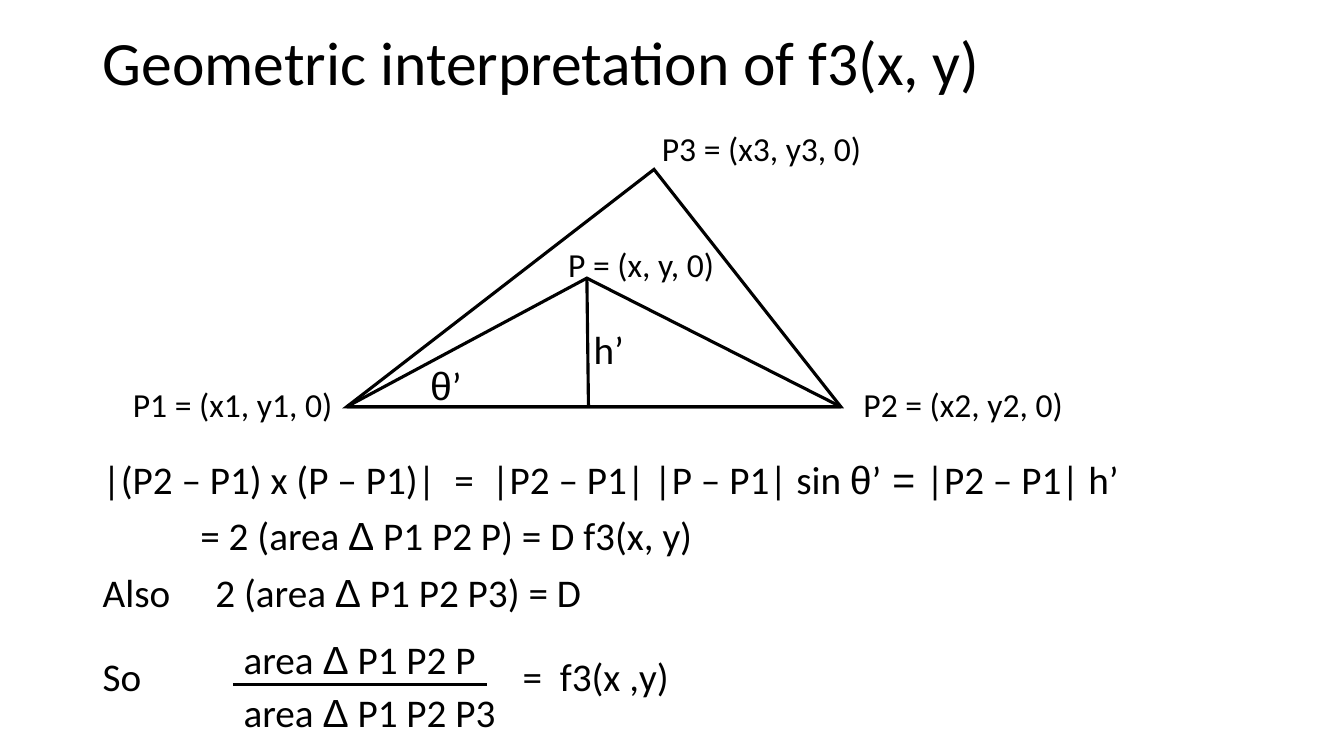
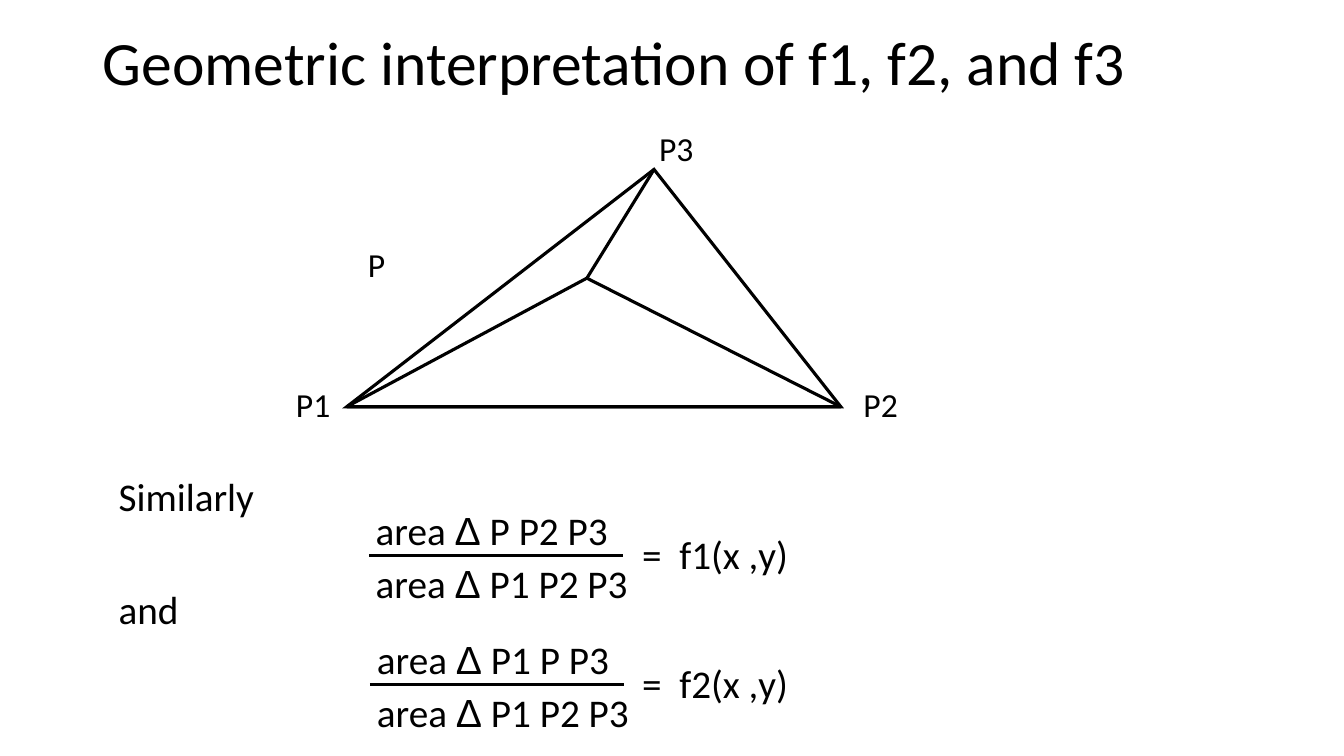
"""Build two slides on the geometric meaning of the plane functions f1, f2 and f3."""
from dataclasses import dataclass
from typing import NamedTuple

from lxml import etree
from pptx import Presentation
from pptx import util as u
from pptx.dml import color
from pptx.enum import shapes, text
from pptx.oxml import ns
from pptx.util import Cm

BLACK = "000000"
LATIN, GREEK = "Calibri", "Arial"
LABEL, MATH, HEADING = 24, 28, 44
LINE_WIDTH = 2.25


class Span(NamedTuple):
    """A stretch of text in one font."""
    words: str
    font: str = LATIN


class Point(NamedTuple):
    """A position in centimetres."""
    x: float
    y: float


@dataclass(frozen=True)
class Para:
    """A paragraph with its spacing in points and its indents in centimetres."""
    spans: tuple[Span, ...]
    before: float = 0
    after: float = 0
    spacing: float = 1.0
    indent: float = 0
    tabs: tuple[float, ...] = ()


@dataclass(frozen=True)
class Box:
    """A text box in centimetres."""
    left: float
    top: float
    width: float
    height: float
    paras: tuple[Para, ...]
    size: int = MATH
    wrap: bool = False
    anchor: text.MSO_ANCHOR = text.MSO_ANCHOR.TOP


@dataclass(frozen=True)
class Fraction:
    """A ratio of two triangle areas, placed by the left end of its bar."""
    bar: Point
    text_left: float
    numerator: str
    result: str = ""


P1 = Point(8.74, 10.25)
P2 = Point(21.19, 10.25)
P3_SHARE, P_SHARE = 0.622, 0.486
BASE = P2.x - P1.x
P3 = Point(P1.x + P3_SHARE * BASE, 4.27)
P = Point(P1.x + P_SHARE * BASE, 7.01)
FOOT = Point(14.83, P1.y)


def rgb(value: str) -> color.RGBColor:
    """Turn a hex string into a colour."""
    return color.RGBColor.from_string(value)


def plain(words: str) -> tuple[Span, ...]:
    """Wrap words as one Latin span."""
    return (Span(words),)


def area(points: str, lead: str = "area ") -> tuple[Span, ...]:
    """Name the area of a triangle."""
    return Span(lead), Span("Δ", GREEK), Span(f" {points}")


def body_para(spans: tuple[Span, ...], before: float = 10, after: float = 0,
              indent: float = 0, tabs: tuple[float, ...] = ()) -> Para:
    """Describe a paragraph in the body style."""
    return Para(spans, before, after, 0.9, indent, tabs)


def label(left: float, top: float, width: float, words: str) -> Box:
    """Describe a label of a triangle corner."""
    return Box(left, top, width, 1.27, (Para(plain(words)),), LABEL)


def set_indents(para, item: Para) -> None:
    """Set the left margin and tab stops of a paragraph."""
    props = para._p.get_or_add_pPr()
    if item.indent:
        props.set("marL", str(Cm(item.indent)))
    if item.tabs:
        stops = etree.SubElement(props, ns.qn("a:tabLst"))
        for stop in item.tabs:
            etree.SubElement(stops, ns.qn("a:tab"), pos=str(Cm(stop)), algn="l")


def draw_box(page, box: Box) -> None:
    """Draw a text box run by run."""
    shape = page.shapes.add_textbox(Cm(box.left), Cm(box.top), Cm(box.width), Cm(box.height))
    frame = shape.text_frame
    frame.word_wrap = box.wrap
    frame.vertical_anchor = box.anchor
    for index, item in enumerate(box.paras):
        para = frame.add_paragraph() if index else frame.paragraphs[0]
        para.space_before = u.Pt(item.before)
        para.space_after = u.Pt(item.after)
        para.line_spacing = item.spacing
        set_indents(para, item)
        for span in item.spans:
            run = para.add_run()
            run.text = span.words
            run.font.name = span.font
            run.font.size = u.Pt(box.size)
            run.font.color.rgb = rgb(BLACK)


def style_line(line) -> None:
    """Give a line the shared colour and width."""
    line.color.rgb = rgb(BLACK)
    line.width = u.Pt(LINE_WIDTH)


def draw_line(page, start: Point, end: Point) -> None:
    """Draw a straight line."""
    line = page.shapes.add_connector(
        shapes.MSO_CONNECTOR.STRAIGHT, Cm(start.x), Cm(start.y), Cm(end.x), Cm(end.y))
    style_line(line.line)
    etree.SubElement(line._element.spPr, ns.qn("a:effectLst"))


def draw_triangle(page, apex: Point, share: float) -> None:
    """Draw a triangle over the base from P1 to P2."""
    shape = page.shapes.add_shape(
        shapes.MSO_SHAPE.ISOSCELES_TRIANGLE, Cm(P1.x), Cm(apex.y), Cm(BASE), Cm(P1.y - apex.y))
    shape.adjustments[0] = share
    shape.shadow.inherit = False
    shape.fill.background()
    style_line(shape.line)
    outline = shape._element.spPr.find(ns.qn("a:ln"))
    etree.SubElement(outline, ns.qn("a:miter"), lim="800000")


def draw_fraction(page, item: Fraction) -> None:
    """Draw a fraction with its bar and its result."""
    left, middle = item.text_left, item.bar.y
    draw_box(page, Box(left, middle - 1.36, 6.38, 1.45, (Para(area(item.numerator)),)))
    draw_box(page, Box(left, middle - 0.03, 6.88, 1.45, (Para(area("P1 P2 P3")),)))
    draw_line(page, item.bar, Point(item.bar.x + 6.4, middle))
    if item.result:
        result = Para(plain(f"=\t{item.result}"), tabs=(0.94,))
        draw_box(page, Box(15.93, middle - 0.76, 4.78, 1.45, (result,), wrap=True))


def draw_page(deck, title: str, boxes: list[Box], lines: list[tuple[Point, Point]],
              fractions: list[Fraction]) -> None:
    """Add a page with the shared title and triangles."""
    page = deck.slides.add_slide(deck.slide_layouts[6])
    heading = Para(plain(title), spacing=0.9)
    draw_box(page, Box(2.34, 0, 29.21, 3.28, (heading,), HEADING, True, text.MSO_ANCHOR.MIDDLE))
    draw_triangle(page, P3, P3_SHARE)
    draw_triangle(page, P, P_SHARE)
    for start, end in lines:
        draw_line(page, start, end)
    for box in boxes:
        draw_box(page, box)
    for fraction in fractions:
        draw_fraction(page, fraction)


def main() -> None:
    """Build and save the deck."""
    deck = Presentation()
    deck.slide_width, deck.slide_height = Cm(33.87), Cm(19.05)

    derivation = (
        body_para((Span("|(P2 – P1) x (P – P1)|\t=\t|P2 – P1| |P – P1| sin "), Span("θ", GREEK),
                   Span("’"), Span(" = ", GREEK), Span("|P2 – P1| h’")), tabs=(8.86, 9.8)),
        body_para(area("P1 P2 P) = D f3(x, y)", "= 2 (area "), indent=2.46),
        body_para(area("P1 P2 P3) = D", "Also\t2 (area "), after=20, tabs=(2.84,)),
        body_para(plain("So\t=\tf3(x ,y)"), tabs=(10.58, 11.52)),
    )
    angle = Para((Span("θ", GREEK), Span("’")))
    draw_page(
        deck, "Geometric interpretation of f3(x, y)",
        [
            Box(2.34, 11.48, 29.44, 7.5, derivation, wrap=True),
            label(3.1, 9.55, 5.59, "P1 = (x1, y1, 0)"),
            label(16.43, 3.1, 5.59, "P3 = (x3, y3, 0)"),
            label(21.51, 9.55, 5.59, "P2 = (x2, y2, 0)"),
            label(14.07, 6.02, 4.22, "P = (x, y, 0)"),
            Box(14.71, 8.08, 1.3, 1.45, (Para(plain("h’")),)),
            Box(10.59, 8.97, 1.78, 1.45, (angle,), wrap=True),
        ],
        [(P, FOOT)],
        [Fraction(Point(5.87, 17.25), 5.89, "P1 P2 P")],
    )

    remarks = (body_para(plain("Similarly")), body_para(plain("and"), before=50.7))
    draw_page(
        deck, "Geometric interpretation of f1, f2, and f3",
        [
            label(7.21, 9.55, 1.4, "P1"),
            label(16.36, 3.1, 1.4, "P3"),
            label(21.51, 9.55, 1.4, "P2"),
            label(9.02, 6.02, 0.94, "P"),
            Box(2.74, 11.91, 12, 4.5, remarks, wrap=True),
        ],
        [(P3, P)],
        [
            Fraction(Point(9.3, 14), 9.22, "P P2 P3", "f1(x ,y)"),
            Fraction(Point(9.32, 17.25), 9.25, "P1 P P3", "f2(x ,y)"),
        ],
    )
    deck.save("out.pptx")


main()
